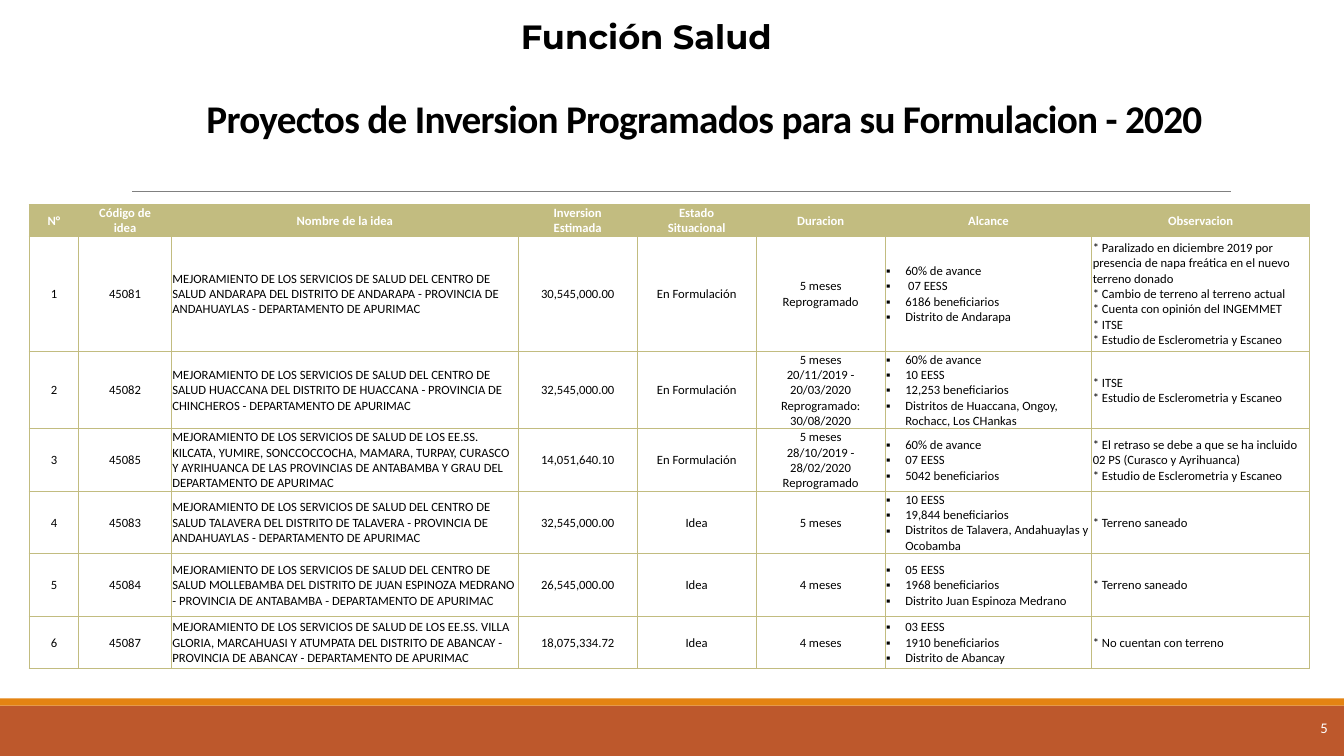
from dataclasses import dataclass

from lxml.etree import SubElement
from pptx import Presentation
from pptx.dml.color import RGBColor
from pptx.enum.shapes import MSO_CONNECTOR as Connector, MSO_SHAPE as Preset
from pptx.enum.text import MSO_ANCHOR as Anchor, MSO_AUTO_SIZE as AutoSize, PP_ALIGN as Align
from pptx.oxml import parse_xml
from pptx.oxml.ns import nsdecls, qn
from pptx.util import Inches, Pt

BLACK, WHITE, OLIVE = "000000", "FFFFFF", "C2BC80"
ORANGE, RUST, GREY = "E48312", "BD582C", "808080"


@dataclass
class Column:
    heading: tuple[str, ...]
    width: float
    align: Align = Align.CENTER
    bulleted: bool = False


@dataclass
class Project:
    height: float
    code: str
    name: str
    cost: str
    status: str
    duration: tuple[str, ...]
    scope: tuple[str, ...]
    remark: str


@dataclass
class Style:
    size: float
    color: str = BLACK
    bold: bool = False
    font: str = "Calibri"


COLUMNS = [
    Column(("N°",), 0.49),
    Column(("Código de", "idea"), 0.92),
    Column(("Nombre de la idea",), 3.44, Align.LEFT),
    Column(("Inversion\nEstimada",), 1.18),
    Column(("Estado", "Situacional"), 1.18),
    Column(("Duracion",), 1.28),
    Column(("Alcance",), 2.05, Align.LEFT, True),
    Column(("Observacion",), 2.16, Align.LEFT),
]
CENTER_NAME = "MEJORAMIENTO DE LOS SERVICIOS DE SALUD DEL CENTRO DE SALUD "
GROUP_NAME = "MEJORAMIENTO DE LOS SERVICIOS DE SALUD DE LOS EE.SS. "
REGION = " - DEPARTAMENTO DE APURIMAC"
PROJECTS = [
    Project(1.14, "45081",
            CENTER_NAME + "ANDARAPA DEL DISTRITO DE ANDARAPA - PROVINCIA DE ANDAHUAYLAS" + REGION,
            "30,545,000.00", "En Formulación", ("5 meses", "Reprogramado"),
            ("60% de avance", " 07 EESS", "6186 beneficiarios", "Distrito de Andarapa"),
            "* Paralizado en diciembre 2019 por presencia de napa freática en el nuevo terreno donado\n"
            "* Cambio de terreno al terreno actual\n* Cuenta con opinión del INGEMMET\n"
            "* ITSE\n* Estudio de Esclerometria y Escaneo"),
    Project(0.77, "45082",
            CENTER_NAME + "HUACCANA DEL DISTRITO DE HUACCANA - PROVINCIA DE CHINCHEROS" + REGION,
            "32,545,000.00", "En Formulación",
            ("5 meses\n20/11/2019 -\n20/03/2020", "Reprogramado:\n30/08/2020"),
            ("60% de avance", "10 EESS", "12,253 beneficiarios",
             "Distritos de Huaccana, Ongoy, Rochacc, Los CHankas"),
            "* ITSE\n* Estudio de Esclerometria y Escaneo"),
    Project(0.62, "45085",
            GROUP_NAME + "KILCATA, YUMIRE, SONCCOCCOCHA, MAMARA, TURPAY, CURASCO Y AYRIHUANCA "
            "DE LAS PROVINCIAS DE ANTABAMBA Y GRAU DEL DEPARTAMENTO DE APURIMAC",
            "14,051,640.10", "En Formulación",
            ("5 meses\n28/10/2019 -\n28/02/2020", "Reprogramado"),
            ("60% de avance", "07 EESS", "5042 beneficiarios"),
            "* El retraso se debe a que se ha incluido 02 PS (Curasco y Ayrihuanca)\n"
            "* Estudio de Esclerometria y Escaneo"),
    Project(0.62, "45083",
            CENTER_NAME + "TALAVERA DEL DISTRITO DE TALAVERA - PROVINCIA DE ANDAHUAYLAS" + REGION,
            "32,545,000.00", "Idea", ("5 meses",),
            ("10 EESS", "19,844 beneficiarios", "Distritos de Talavera, Andahuaylas y Ocobamba"),
            "* Terreno saneado"),
    Project(0.62, "45084",
            CENTER_NAME + "MOLLEBAMBA DEL DISTRITO DE JUAN ESPINOZA MEDRANO - PROVINCIA DE ANTABAMBA" + REGION,
            "26,545,000.00", "Idea", ("4 meses",),
            ("05 EESS", "1968 beneficiarios", "Distrito Juan Espinoza Medrano"),
            "* Terreno saneado"),
    Project(0.52, "45087",
            GROUP_NAME + "VILLA GLORIA, MARCAHUASI Y ATUMPATA DEL DISTRITO DE ABANCAY - PROVINCIA DE ABANCAY" + REGION,
            "18,075,334.72", "Idea", ("4 meses",),
            ("03 EESS", "1910 beneficiarios", "Distrito de Abancay"),
            "* No cuentan con terreno"),
]


def rgb(color: str) -> RGBColor:
    return RGBColor.from_string(color)


def add_bullet(paragraph) -> None:
    properties = paragraph._p.get_or_add_pPr()
    properties.set("marL", str(Inches(0.19)))
    properties.set("indent", str(-Inches(0.19)))
    SubElement(properties, qn("a:buFont"), typeface="Arial")
    SubElement(properties, qn("a:buChar"), char="▪")


def write(frame, texts: tuple[str, ...], style: Style, align: Align, bulleted: bool = False) -> None:
    for index, text in enumerate(texts):
        paragraph = frame.add_paragraph() if index else frame.paragraphs[0]
        paragraph.alignment = align
        if bulleted:
            add_bullet(paragraph)
        for number, line in enumerate(text.split("\n")):
            if number:
                paragraph.add_line_break()
            run = paragraph.add_run()
            run.text = line
            run.font.name = style.font
            run.font.size = Pt(style.size)
            run.font.bold = style.bold
            run.font.color.rgb = rgb(style.color)
        for line_break in paragraph._p.findall(qn("a:br")):
            SubElement(line_break, qn("a:rPr"), sz=str(int(style.size * 100)))


def set_frame(frame, anchor: Anchor) -> None:
    frame.word_wrap = True
    frame.auto_size = AutoSize.NONE
    frame.vertical_anchor = anchor
    frame.margin_left = frame.margin_right = frame.margin_top = frame.margin_bottom = 0


def add_label(slide, box: tuple[float, ...], text: str, style: Style, align: Align) -> None:
    frame = slide.shapes.add_textbox(*map(Inches, box)).text_frame
    set_frame(frame, Anchor.MIDDLE)
    write(frame, (text,), style, align)


def add_band(slide, top: float, height: float, color: str) -> None:
    shape = slide.shapes.add_shape(Preset.RECTANGLE, 0, Inches(top), Inches(13.33), Inches(height))
    shape.shadow.inherit = False
    shape.fill.solid()
    shape.fill.fore_color.rgb = rgb(color)
    shape.line.fill.background()


def add_rule(slide) -> None:
    rule = slide.shapes.add_connector(
        Connector.STRAIGHT, Inches(1.31), Inches(1.9), Inches(12.21), Inches(1.9))
    rule.line.color.rgb = rgb(GREY)
    rule.line.width = Pt(0.5)
    SubElement(rule._element.spPr, qn("a:effectLst"))


def add_title(slide) -> None:
    title = slide.shapes.title
    title.left, title.top, title.width, title.height = map(Inches, (1.21, 0.83, 11.55, 0.57))
    set_frame(title.text_frame, Anchor.BOTTOM)
    write(title.text_frame, ("Proyectos de Inversion Programados para su Formulacion - 2020",),
          Style(28, bold=True), Align.CENTER)
    title.text_frame.paragraphs[0].runs[0]._r.get_or_add_rPr().set("spc", "-50")


def format_cell(cell, fill: str | None) -> None:
    cell.vertical_anchor = Anchor.MIDDLE
    cell.margin_left = cell.margin_right = cell.margin_top = Inches(0.01)
    cell.margin_bottom = 0
    if fill:
        cell.fill.solid()
        cell.fill.fore_color.rgb = rgb(fill)
    else:
        cell.fill.background()
    for index, side in enumerate(("lnL", "lnR", "lnT", "lnB")):
        border = parse_xml(f'<a:{side} {nsdecls("a")} w="{Pt(1)}"><a:solidFill>'
                           f'<a:srgbClr val="{OLIVE}"/></a:solidFill></a:{side}>')
        cell._tc.get_or_add_tcPr().insert(index, border)


def add_projects(slide) -> None:
    heights = [0.31] + [project.height for project in PROJECTS]
    table = slide.shapes.add_table(len(heights), len(COLUMNS), Inches(0.29), Inches(2.03),
                                   Inches(12.7), Inches(sum(heights))).table
    table.first_row = table.horz_banding = False
    for row, height in zip(table.rows, heights):
        row.height = Inches(height)
    for index, column in enumerate(COLUMNS):
        table.columns[index].width = Inches(column.width)
        cell = table.cell(0, index)
        format_cell(cell, OLIVE)
        write(cell.text_frame, column.heading, Style(9, WHITE, True), Align.CENTER)
    for number, project in enumerate(PROJECTS, 1):
        values = ((str(number),), (project.code,), (project.name,), (project.cost,),
                  (project.status,), project.duration, project.scope, (project.remark,))
        for index, (column, texts) in enumerate(zip(COLUMNS, values)):
            cell = table.cell(number, index)
            format_cell(cell, None)
            write(cell.text_frame, texts, Style(9), column.align, column.bulleted)


def main() -> None:
    presentation = Presentation()
    presentation.slide_width, presentation.slide_height = Inches(13.33), Inches(7.5)
    slide = presentation.slides.add_slide(presentation.slide_layouts[5])
    add_band(slide, 7, 0.5, RUST)
    add_band(slide, 6.93, 0.07, ORANGE)
    add_rule(slide)
    add_title(slide)
    add_label(slide, (12.37, 6.93, 0.8, 0.57), "5", Style(10.5, WHITE), Align.RIGHT)
    add_label(slide, (0.77, 0.15, 11.28, 0.42), "Función Salud",
              Style(24, bold=True, font="Montserrat"), Align.CENTER)
    add_projects(slide)
    presentation.save("out.pptx")


if __name__ == "__main__":
    main()
